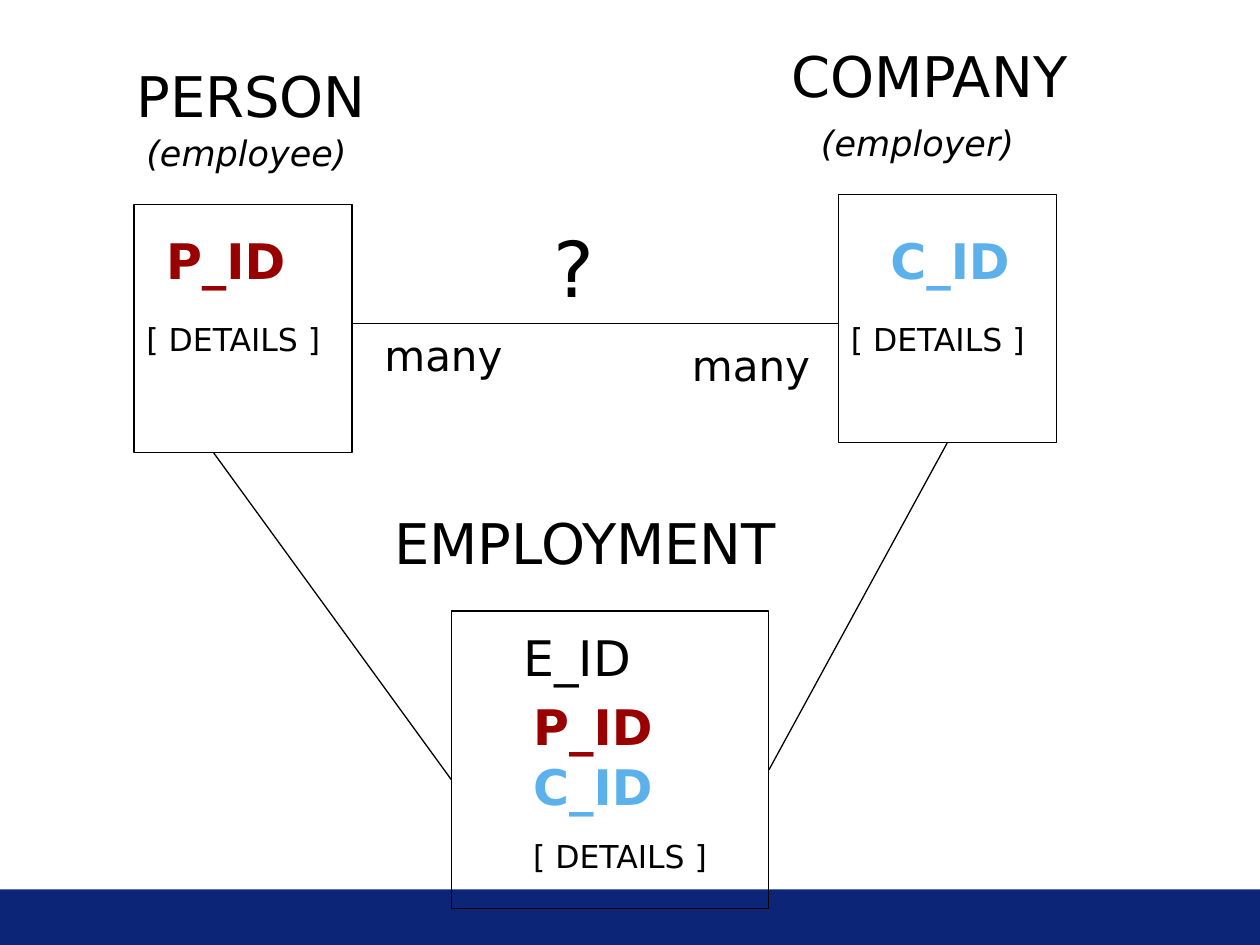
"""Build a slide that resolves a many-to-many relation with a linking table."""
from dataclasses import dataclass

from lxml.etree import SubElement
from pptx import Presentation
from pptx.dml.color import RGBColor
from pptx.enum.shapes import MSO_CONNECTOR as Connector, MSO_SHAPE as Shape
from pptx.enum.text import MSO_AUTO_SIZE as AutoSize, PP_ALIGN as Align
from pptx.oxml.ns import qn
from pptx.util import Cm, Pt


@dataclass(frozen=True)
class Theme:
    """Colours, font and type sizes of the slide."""
    font: str = "DejaVu Sans"
    black: str = "000000"
    person: str = "990000"
    company: str = "5CB1EB"
    footer: str = "0C2577"
    line: float = 0.75
    question: int = 44
    entity: int = 32
    key: int = 28
    cardinality: int = 24
    role: int = 20
    details: int = 18


THEME = Theme()
BOTTOM = 2


def add_text(slide, text, left, top, width, *, size, color=THEME.black,
             bold=False, italic=False, align=Align.LEFT):
    """Add one line of text in a box whose height follows the type size."""
    height = 0.26 + 0.042 * size
    box = slide.shapes.add_textbox(Cm(left), Cm(top), Cm(width), Cm(height))
    frame = box.text_frame
    frame.word_wrap = True
    frame.auto_size = AutoSize.SHAPE_TO_FIT_TEXT
    paragraph = frame.paragraphs[0]
    paragraph.alignment = align
    run = paragraph.add_run()
    run.text = text
    font = run.font
    font.name, font.size = THEME.font, Pt(size)
    font.bold, font.italic = bold, italic
    font.color.rgb = RGBColor.from_string(color)


def add_box(slide, left, top, width, height, *, fill=None):
    """Add a filled bar, or an outlined box when no fill is given."""
    shape = slide.shapes.add_shape(
        Shape.RECTANGLE, Cm(left), Cm(top), Cm(width), Cm(height))
    shape.shadow.inherit = False
    if fill:
        shape.fill.solid()
        shape.fill.fore_color.rgb = RGBColor.from_string(fill)
        shape.line.fill.background()
    else:
        shape.fill.background()
        shape.line.color.rgb = RGBColor.from_string(THEME.black)
        shape.line.width = Pt(THEME.line)
    return shape


def add_relation(slide, start, end):
    """Add a thin straight line between two points."""
    connector = slide.shapes.add_connector(
        Connector.STRAIGHT, *map(Cm, start + end))
    connector.line.color.rgb = RGBColor.from_string(THEME.black)
    connector.line.width = Pt(THEME.line)
    SubElement(connector._element.spPr, qn("a:effectLst"))
    return connector


def add_boxes_and_relations(slide):
    """Draw the footer, the three entity boxes and their relations."""
    add_box(slide, 0, 17.93, 25.4, 1.12, fill=THEME.footer)
    add_box(slide, 2.7, 4.12, 4.4, 5)
    company = add_box(slide, 16.9, 3.92, 4.4, 5)
    add_box(slide, 9.1, 12.32, 6.4, 6)
    add_relation(slide, (7.1, 6.52), (16.9, 6.52))
    add_relation(slide, (4.3, 9.12), (9.1, 15.72))
    employment_company = add_relation(slide, (15.5, 15.52), (19.1, 8.92))
    employment_company.end_connect(company, BOTTOM)


def add_labels(slide):
    """Write the names, roles, cardinalities and fields of the entities."""
    for name, left, top, width in (("PERSON", 2.5, 1.12, 6),
                                   ("COMPANY", 15.7, 0.72, 7),
                                   ("EMPLOYMENT", 7.7, 10.12, 9.4)):
        add_text(slide, name, left, top, width, size=THEME.entity)
    for role, left, top in (("(employee)", 2.7, 2.52),
                            ("(employer)", 16.3, 2.32)):
        add_text(slide, role, left, top, 9, size=THEME.role, italic=True)
    add_text(slide, "?", 10.9, 4.32, 4.4, size=THEME.question)
    for left, top in ((7.5, 6.52), (13.7, 6.72)):
        add_text(slide, "many", left, top, 3.6, size=THEME.cardinality)

    add_text(slide, "E_ID", 10.3, 12.52, 3, size=THEME.key)
    for key, color, left, top in (("P_ID", THEME.person, 3.1, 4.52),
                                  ("C_ID", THEME.company, 17.7, 4.52),
                                  ("P_ID", THEME.person, 10.5, 13.92),
                                  ("C_ID", THEME.company, 10.5, 15.12)):
        add_text(slide, key, left, top, 4, size=THEME.key, color=color, bold=True)
    for left, top, width, align in ((2.5, 6.32, 7, Align.LEFT),
                                    (16.7, 6.32, 6, Align.LEFT),
                                    (9.3, 16.74, 6.2, Align.CENTER)):
        add_text(slide, " [ DETAILS ]", left, top, width,
                 size=THEME.details, align=align)


def main():
    """Create the presentation and save it."""
    presentation = Presentation()
    presentation.slide_width, presentation.slide_height = Cm(25.4), Cm(19.05)
    slide = presentation.slides.add_slide(presentation.slide_layouts[6])
    add_boxes_and_relations(slide)
    add_labels(slide)
    presentation.save("out.pptx")


if __name__ == "__main__":
    main()
